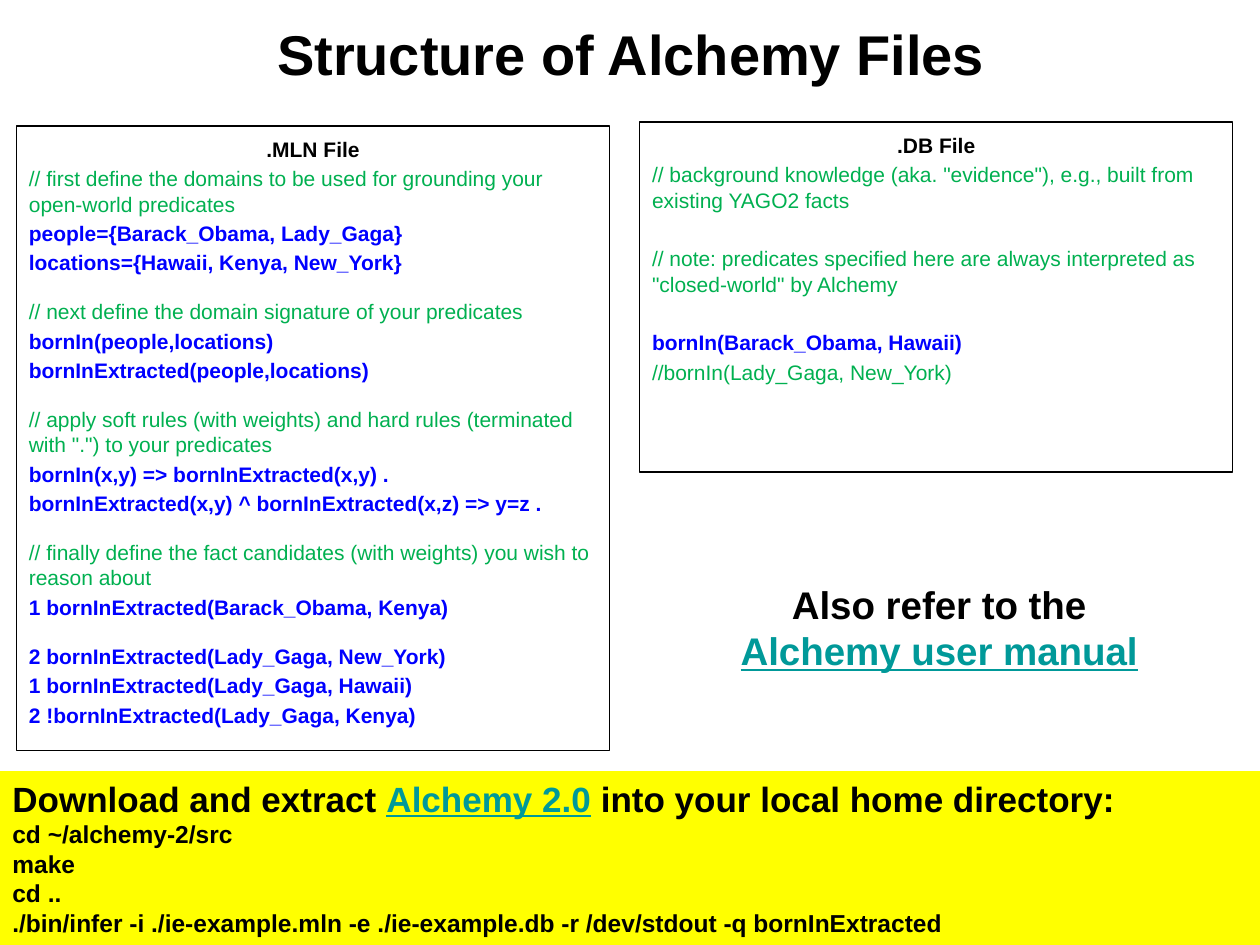
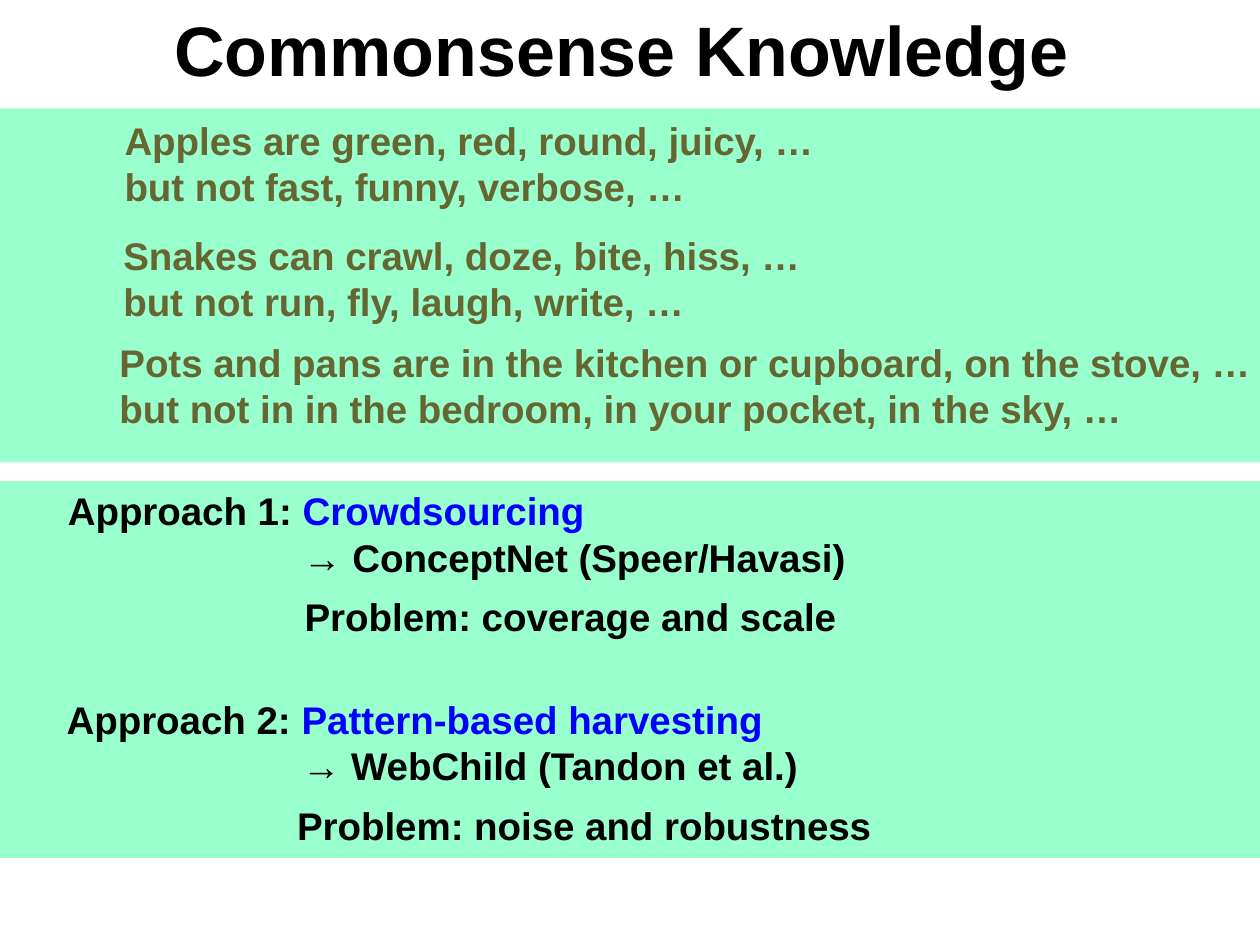
from dataclasses import dataclass

import pptx
import pptx.dml.color
import pptx.enum.shapes
import pptx.enum.text
import pptx.util

Pt = pptx.util.Pt
RGBColor = pptx.dml.color.RGBColor
LEFT = pptx.enum.text.PP_ALIGN.LEFT
CENTER = pptx.enum.text.PP_ALIGN.CENTER
TOP = pptx.enum.text.MSO_ANCHOR.TOP
MIDDLE = pptx.enum.text.MSO_ANCHOR.MIDDLE

BLACK = RGBColor(0x00, 0x00, 0x00)
BLUE = RGBColor(0x00, 0x00, 0xFF)
GREEN = RGBColor(0x00, 0xB0, 0x50)
TEAL = RGBColor(0x00, 0x99, 0x99)
OLIVE = RGBColor(0x66, 0x66, 0x33)
YELLOW = RGBColor(0xFF, 0xFF, 0x00)
MINT = RGBColor(0x99, 0xFF, 0xCC)

BASE = {"name": "Arial", "bold": True}
COMMENT = {"bold": False}
LINK = {"underline": True}

LINE_GAP = 2.4
MLN_SECTION_GAP = 13.6
DB_SECTION_GAP = 19.2
STATEMENT_SIZE = 22
ARROW_INDENT = 134.5


@dataclass
class Line:
    """One paragraph: runs are (text, colour, font values) tuples."""
    runs: list
    size: float
    before: float = 0
    align: int = LEFT
    indent: float = 0


def write_lines(frame, lines, anchor=TOP, top_inset=3.6):
    frame.word_wrap = True
    frame.vertical_anchor = anchor
    frame.margin_top = Pt(top_inset)
    for number, line in enumerate(lines):
        paragraph = frame.add_paragraph() if number else frame.paragraphs[0]
        paragraph.alignment = line.align
        paragraph.space_before = Pt(line.before)
        if line.indent:
            paragraph._p.get_or_add_pPr().set("marL", str(Pt(line.indent)))
        for text, colour, values in line.runs:
            run = paragraph.add_run()
            run.text = text
            for key, value in {**BASE, "size": Pt(line.size), **values}.items():
                setattr(run.font, key, value)
            run.font.color.rgb = colour


def add_text(slide, left, top, width, height, lines, anchor=TOP):
    box = slide.shapes.add_textbox(Pt(left), Pt(top), Pt(width), Pt(height))
    write_lines(box.text_frame, lines, anchor)


def add_title(slide, text, size, left, width, height):
    line = Line([(text, BLACK, {})], size, align=CENTER)
    add_text(slide, left, 0, width, height, [line], MIDDLE)


def add_panel(slide, left, top, width, height, fill=None, outline=None):
    panel = slide.shapes.add_shape(
        pptx.enum.shapes.MSO_SHAPE.RECTANGLE,
        Pt(left), Pt(top), Pt(width), Pt(height))
    panel.shadow.inherit = False
    if fill is None:
        panel.fill.background()
    else:
        panel.fill.solid()
        panel.fill.fore_color.rgb = fill
    if outline is None:
        panel.line.fill.background()
    else:
        panel.line.color.rgb = outline
        panel.line.width = Pt(0.75)
    return panel


def add_code_file(slide, left, top, height, heading, sections, section_gap):
    """Outlined file listing; lines starting with // are set as comments."""
    lines = [Line([(heading, BLACK, {})], 12, align=CENTER)]
    for section_number, section in enumerate(sections):
        for number, code in enumerate(section):
            starts_section = section_number and not number
            before = section_gap if starts_section else LINE_GAP
            is_comment = code.startswith("//")
            run = (code, GREEN, COMMENT) if is_comment else (code, BLUE, {})
            lines.append(Line([run], 12, before))
    panel = add_panel(slide, left, top, 339, height, outline=BLACK)
    write_lines(panel.text_frame, lines, top_inset=3.6 + LINE_GAP)


def add_statement(slide, left, top, width, texts, colour):
    lines = [Line([(text, colour, {})], STATEMENT_SIZE) for text in texts]
    add_text(slide, left, top, width, 7 + 27 * len(texts), lines)


def add_approach(slide, left, top, width, number, method, system):
    add_text(slide, left, top, width, 60.5, [
        Line([(f"Approach {number}: ", BLACK, {}), (method, BLUE, {})],
             STATEMENT_SIZE),
        Line([(f"→ {system}", BLACK, {})], STATEMENT_SIZE,
             indent=ARROW_INDENT),
    ])


def build_alchemy_files(slide):
    add_code_file(slide, 9.4, 72, 357, ".MLN File", [
        ["// first define the domains to be used for grounding your "
         "open-world predicates",
         "people={Barack_Obama, Lady_Gaga}",
         "locations={Hawaii, Kenya, New_York}"],
        ["// next define the domain signature of your predicates",
         "bornIn(people,locations)",
         "bornInExtracted(people,locations)"],
        ["// apply soft rules (with weights) and hard rules (terminated "
         'with ".") to your predicates',
         "bornIn(x,y) => bornInExtracted(x,y) .",
         "bornInExtracted(x,y) ^ bornInExtracted(x,z) => y=z ."],
        ["// finally define the fact candidates (with weights) you wish to "
         "reason about",
         "1 bornInExtracted(Barack_Obama, Kenya)"],
        ["2 bornInExtracted(Lady_Gaga, New_York)",
         "1 bornInExtracted(Lady_Gaga, Hawaii)",
         "2 !bornInExtracted(Lady_Gaga, Kenya)"],
    ], MLN_SECTION_GAP)
    add_title(slide, "Structure of Alchemy Files", 32, 36.7, 648, 60.5)

    commands = [
        "cd ~/alchemy-2/src",
        "make",
        "cd ..",
        "./bin/infer -i ./ie-example.mln -e ./ie-example.db "
        "-r /dev/stdout -q bornInExtracted",
    ]
    download = add_panel(slide, 0, 440.6, 720, 101.5, fill=YELLOW)
    write_lines(download.text_frame, [
        Line([("Download and extract ", BLACK, {}),
              ("Alchemy 2.0", TEAL, LINK),
              (" into your local home directory:", BLACK, {})], 20),
        *[Line([(command, BLACK, {})], 14) for command in commands],
    ])

    add_code_file(slide, 365.5, 69.8, 200, ".DB File", [
        ['// background knowledge (aka. "evidence"), e.g., built from '
         "existing YAGO2 facts"],
        ["// note: predicates specified here are always interpreted as "
         '"closed-world" by Alchemy'],
        ["bornIn(Barack_Obama, Hawaii)",
         "//bornIn(Lady_Gaga, New_York)"],
    ], DB_SECTION_GAP)
    add_text(slide, 414.7, 328.5, 244, 60.5, [
        Line([("Also refer to the", BLACK, {})], 22, align=CENTER),
        Line([("Alchemy user manual", TEAL, LINK)], 22, align=CENTER),
    ])


def build_commonsense(slide):
    add_panel(slide, 0, 275, 720, 215.3, fill=MINT)
    add_panel(slide, 0, 62, 720, 202.3, fill=MINT)
    add_title(slide, "Commonsense Knowledge", 40, 0, 710, 55)

    for left, top, width, *texts in [
        (64.1, 63.4, 413, "Apples are green, red, round, juicy, …",
         "but not fast, funny, verbose, …"),
        (63.4, 129, 413, "Snakes can crawl, doze, bite, hiss, …",
         "but not run, fly, laugh, write, …"),
        (61.2, 190, 670,
         "Pots and pans are in the kitchen or cupboard, on the stove, …",
         "but not in in the bedroom, in your pocket, in the sky, …"),
    ]:
        add_statement(slide, left, top, width, texts, OLIVE)

    add_approach(slide, 31.7, 275, 478, 1,
                 "Crowdsourcing", "ConceptNet (Speer/Havasi)")
    add_statement(slide, 167, 335.5, 325, ["Problem: coverage and scale"],
                  BLACK)
    add_approach(slide, 31, 394, 444, 2,
                 "Pattern-based harvesting", "WebChild (Tandon et al.)")
    add_statement(slide, 162.7, 454.5, 349, ["Problem: noise and robustness"],
                  BLACK)


def main():
    deck = pptx.Presentation()
    deck.slide_width, deck.slide_height = Pt(720), Pt(540)
    blank = deck.slide_layouts[6]
    for build in (build_alchemy_files, build_commonsense):
        build(deck.slides.add_slide(blank))
    deck.save("out.pptx")


if __name__ == "__main__":
    main()
